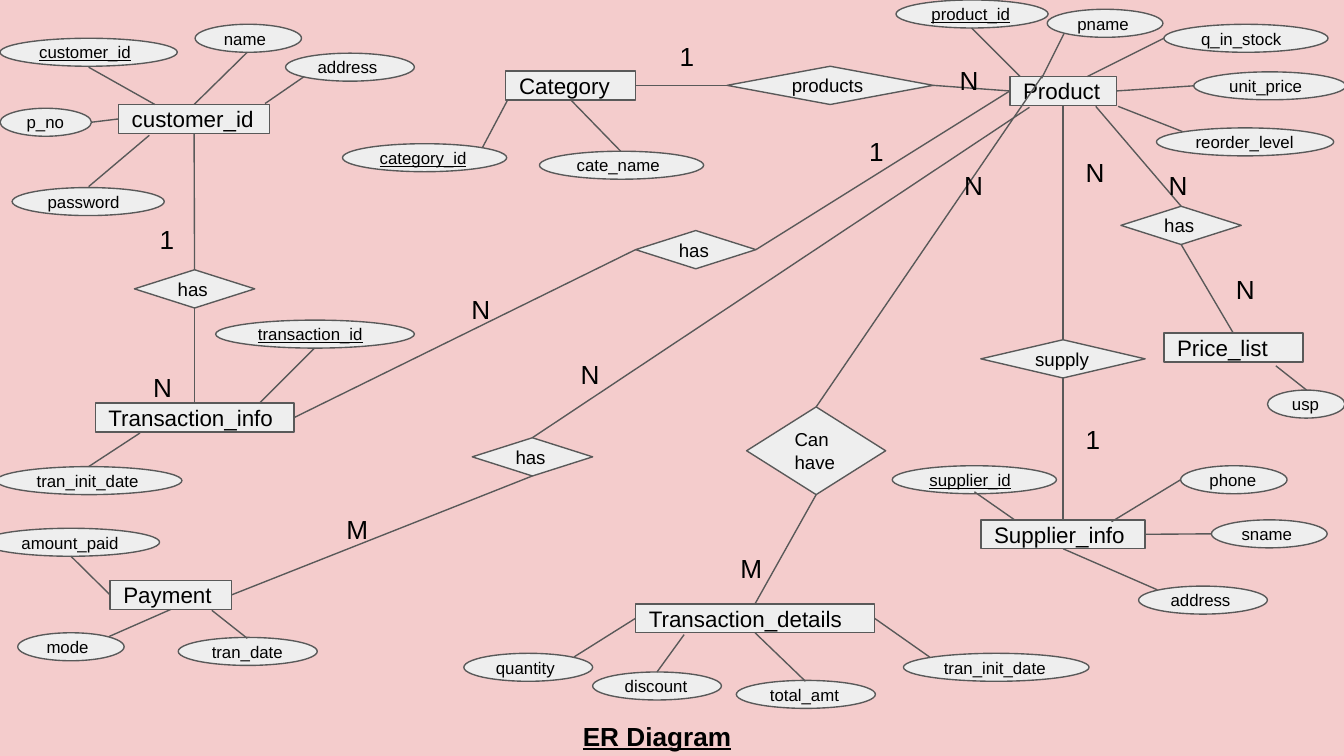
from lxml import etree
from pptx import Presentation
from pptx import util as u
from pptx.dml.color import RGBColor
from pptx.enum import shapes, text
from pptx.oxml.ns import qn


def color(hex_value):
    return RGBColor.from_string(hex_value)


def write(shape, words, size, anchor=text.MSO_ANCHOR.MIDDLE, bold=False, underline=False):
    """Put left-aligned black Arial text in a shape, with equal margins."""
    frame = shape.text_frame
    frame.word_wrap = True
    frame.auto_size = text.MSO_AUTO_SIZE.NONE
    frame.vertical_anchor = anchor
    frame.margin_left = frame.margin_right = u.Pt(7.2)
    frame.margin_top = frame.margin_bottom = u.Pt(7.2)
    paragraph = frame.paragraphs[0]
    paragraph.alignment = text.PP_ALIGN.LEFT
    run = paragraph.add_run()
    run.text = words
    run.font.name = "Arial"
    run.font.size = u.Pt(size)
    run.font.bold = bold
    run.font.underline = underline
    run.font.color.rgb = color("000000")


deck = Presentation()
deck.slide_width, deck.slide_height = u.Pt(720), u.Pt(405)
slide = deck.slides.add_slide(deck.slide_layouts[5])
slide.background.fill.solid()
slide.background.fill.fore_color.rgb = color("F4CCCC")

# name, left, top, width, height
entities = [
    ("customer_id", 63.5, 56, 81, 15.5),
    ("Category", 271, 38, 69.5, 15.5),
    ("Product", 541, 41, 57, 15.5),
    ("Price_list", 623.5, 178.5, 74.5, 15.5),
    ("Supplier_info", 525.5, 278.5, 88, 15.5),
    ("Transaction_details", 340.5, 323.5, 128, 15.5),
    ("Payment", 59, 311, 65, 15.5),
    ("Transaction_info", 51, 216, 106.5, 15.5),
]

# label, left, top, width, height, then two links:
# each is a side of the diamond and the place the link comes from
relations = [
    ("has", 72, 144.5, 64.5, 20.5, (0, ("customer_id", 2)), (2, ("Transaction_info", 0))),
    ("products", 389.5, 35.5, 110.5, 20.5, (1, ("Category", 3)), (3, ("Product", 1))),
    ("has", 340.5, 123.5, 64.5, 20.5, (1, ("Transaction_info", 3)), (3, ("Product", 1))),
    ("has", 600.5, 110.5, 64.5, 20.5, (0, (587, 57)), (2, ("Price_list", 0))),
    ("supply", 525.5, 182, 88, 20.5, (0, ("Product", 2)), (2, ("Supplier_info", 0))),
    ("has", 253, 234.5, 64.5, 20.5, (0, (551.5, 57.5)), (2, ("Payment", 3))),
    ("Can have", 400, 218, 74.5, 47, (0, (558.5, 40.5)), (2, ("Transaction_details", 0))),
]

# name, left, top, width, start of its line, end of its line
attributes = [
    ("customer_id", 0, 20.5, 95, (47.5, 36), (83, 56)),
    ("address", 153, 28.5, 69, (163, 41), (142, 55.5)),
    ("name", 104.5, 13, 57, (132.5, 28), ("customer_id", 0)),
    ("reorder_level", 619.5, 68.5, 95, (633.5, 70.5), (599, 57)),
    ("unit_price", 639.5, 38.5, 81.5, (639.5, 46), ("Product", 3)),
    ("q_in_stock", 623.5, 13, 88, (623.5, 20.5), (582.5, 41)),
    ("pname", 561, 5, 62, (570, 18), (558, 42)),
    ("product_id", 480, 0, 81.5, (520.5, 15), (546.5, 41)),
    ("cate_name", 289, 81, 88, (332.5, 81), ("Category", 2)),
    ("category_id", 183.5, 77, 88, (258.5, 79), (272, 53.5)),
    ("password", 6.5, 100.5, 81.5, (47.5, 100), (80, 72.5)),
    ("p_no", 0, 58, 49, (49, 65.5), ("customer_id", 1)),
    ("transaction_id", 115.5, 171.5, 106.5, (168.5, 186.5), (139, 216)),
    ("tran_date", 95.5, 341.5, 74.5, (132.5, 342), (113.5, 327)),
    ("mode", 9.5, 339, 57, (58.5, 341), ("Payment", 2)),
    ("amount_paid", -9.5, 283, 95, (38, 298), ("Payment", 1)),
    ("tran_init_date", 484, 350, 99.5, (498, 352), ("Transaction_details", 3)),
    ("total_amt", 394.5, 364.5, 74.5, (431.5, 365), ("Transaction_details", 2)),
    ("discount", 317.5, 360, 69, (352, 360), (366.5, 340)),
    ("quantity", 248.5, 350, 69, (307.5, 352), ("Transaction_details", 1)),
    ("supplier_id", 478, 249.5, 88, (522, 263.5), (543.5, 278.5)),
    ("address", 610, 314, 69, (620, 316), ("Supplier_info", 2)),
    ("sname", 649, 278.5, 62, (649, 286), ("Supplier_info", 3)),
    ("phone", 632.5, 249.5, 57, (632.5, 257), (595.5, 279.5)),
    ("usp", 679, 209, 41.5, (700, 209), (683.5, 196)),
    ("tran_init_date", -2, 250, 99.5, (47.5, 250), (75, 232)),
]
keys = {"customer_id", "product_id", "category_id", "transaction_id", "supplier_id"}

# preset, text size, name, box, underline
nodes = [(shapes.MSO_SHAPE.RECTANGLE, 12, name, box, False) for name, *box in entities]
nodes += [(shapes.MSO_SHAPE.FLOWCHART_DECISION, 10, row[0], row[1:5], False) for row in relations]
nodes += [(shapes.MSO_SHAPE.OVAL, 9, name, (left, top, width, 15), name in keys)
          for name, left, top, width, *_ in attributes]

drawn = []
for preset, size, name, box, underline in nodes:
    node = slide.shapes.add_shape(preset, *map(u.Pt, box))
    node.shadow.inherit = False
    node.fill.solid()
    node.fill.fore_color.rgb = color("EEEEEE")
    node.line.color.rgb = color("595959")
    node.line.width = u.Pt(0.75)
    write(node, name, size, underline=underline)
    drawn.append(node)

# Entities are found by name, diamonds by their order
joints = {row[0]: node for row, node in zip(entities, drawn)}
links = [(start, end) for *_, start, end in attributes]
for number, row in enumerate(relations):
    diamond = f"relation {number}"
    joints[diamond] = drawn[len(entities) + number]
    links += [(source, (diamond, side)) for side, source in row[5:]]

# An end of a link is either a point or a joint with one of its sides
for (start, start_at), (end, end_at) in links:
    link = slide.shapes.add_connector(shapes.MSO_CONNECTOR.STRAIGHT, 0, 0, 0, 0)
    link.line.color.rgb = color("595959")
    link.line.width = u.Pt(0.75)
    etree.SubElement(link.element.spPr, qn("a:effectLst"))
    if start in joints:
        link.begin_connect(joints[start], start_at)
    else:
        link.begin_x, link.begin_y = u.Pt(start), u.Pt(start_at)
    if end in joints:
        link.end_connect(joints[end], end_at)
    else:
        link.end_x, link.end_y = u.Pt(end), u.Pt(end_at)

cardinalities = [
    ("N", 75, 192, 21.5, 14), ("N", 507, 27.5, 14.5, 18), ("M", 389.5, 288.5, 14.5, 18),
    ("1", 78.5, 112.5, 14.5, 20), ("N", 245.5, 150, 21.5, 14), ("N", 304, 185, 21.5, 14),
    ("N", 655, 139.5, 21.5, 14), ("N", 619, 83.5, 21.5, 14), ("N", 574.5, 77, 21.5, 14),
    ("N", 509.5, 84, 21.5, 14), ("M", 178.5, 268, 41, 29.5), ("1", 574.5, 219.5, 14.5, 20),
    ("1", 458.5, 65.5, 14.5, 20), ("1", 357, 14.5, 14.5, 20),
]
for count, *box in cardinalities:
    write(slide.shapes.add_textbox(*map(u.Pt, box)), count, 14, anchor=text.MSO_ANCHOR.TOP)

title = slide.shapes.title
title.left, title.top, title.width, title.height = map(u.Pt, (305, 378.5, 95, 18))
write(title, "ER Diagram", 14, anchor=text.MSO_ANCHOR.TOP, bold=True, underline=True)

deck.save("out.pptx")
